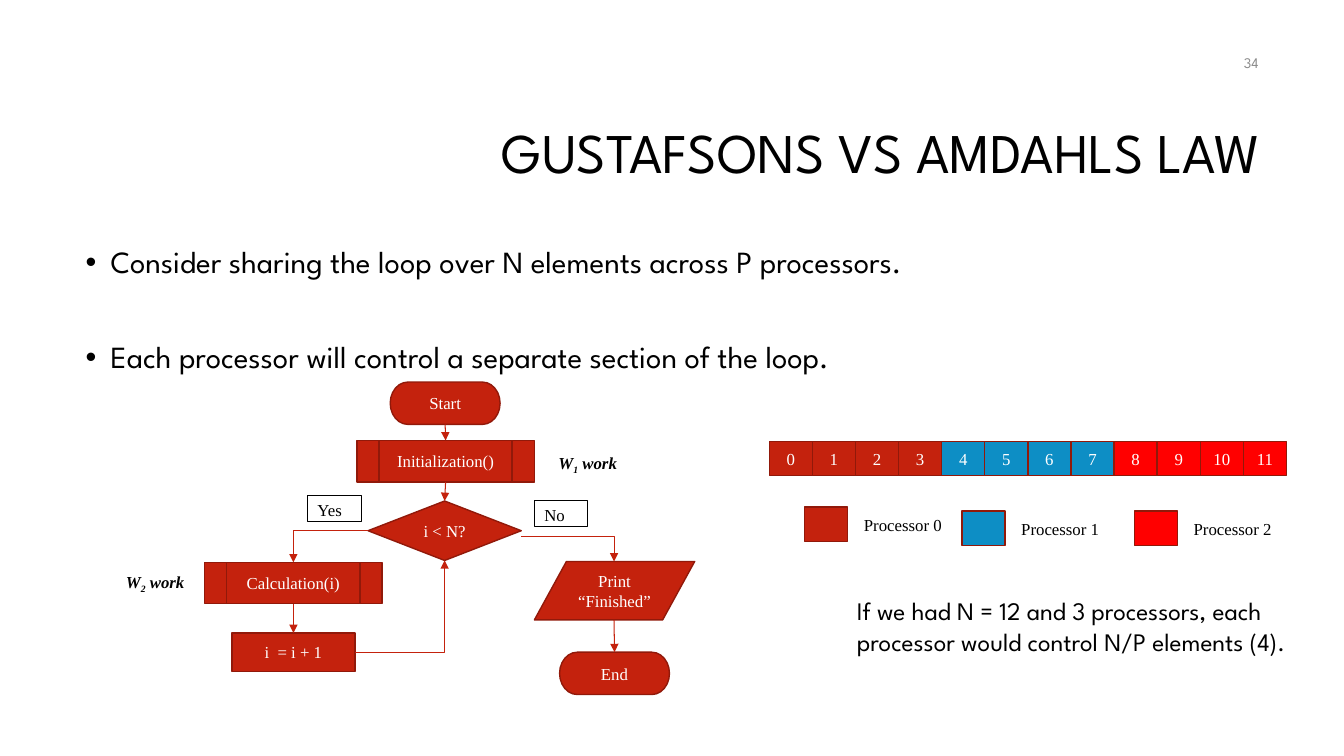
"""Build a slide on sharing a loop across processors."""
import pptx
import pptx.util
import pptx.dml.color
import pptx.enum.shapes
import pptx.enum.text
import pptx.oxml.ns
from lxml import etree

Inches = pptx.util.Inches
Pt = pptx.util.Pt
Kind = pptx.enum.shapes.MSO_SHAPE
Link = pptx.enum.shapes.MSO_CONNECTOR
Align = pptx.enum.text.PP_ALIGN
Anchor = pptx.enum.text.MSO_ANCHOR
qn = pptx.oxml.ns.qn

SANS = "League Spartan"
SERIF = "Times New Roman"
COLORS = {
    "red": "C4220D", "edge": "91190A", "blue": "0D8EC5", "bright": "FF0000",
    "white": "FFFFFF", "black": "000000", "gray": "8C8C8C",
}
TOP, LEFT, BOTTOM, RIGHT = range(4)


def color(name):
    return pptx.dml.color.RGBColor.from_string(COLORS[name])


def add_span(para, text, size, font, ink="black"):
    span = para.add_run()
    span.text = text
    span.font.size = Pt(size)
    span.font.name = font
    span.font.color.rgb = color(ink)
    return span


def add_text(page, place, text, size, font=SANS, ink="black",
             align=Align.LEFT, anchor=Anchor.TOP):
    box = page.shapes.add_textbox(*map(Inches, place))
    box.text_frame.word_wrap = True
    box.text_frame.vertical_anchor = anchor
    para = box.text_frame.paragraphs[0]
    para.alignment = align
    add_span(para, text, size, font, ink)
    return box


def add_bullets(page, place, lines):
    box = page.shapes.add_textbox(*map(Inches, place))
    frame = box.text_frame
    frame.word_wrap = True
    for index, (text, gap) in enumerate(lines):
        para = frame.add_paragraph() if index else frame.paragraphs[0]
        para.line_spacing = 0.9
        para.space_before = Pt(gap)
        add_span(para, text, 22, SANS)
        props = para._p.get_or_add_pPr()
        props.set("marL", str(Inches(0.25)))
        props.set("indent", str(Inches(-0.25)))
        etree.SubElement(props, qn("a:buFont")).set("typeface", "Arial")
        etree.SubElement(props, qn("a:buChar")).set("char", "•")


def add_block(page, kind, place, text="", fill="red"):
    block = page.shapes.add_shape(kind, *map(Inches, place))
    block.shadow.inherit = False
    block.fill.solid()
    block.fill.fore_color.rgb = color(fill)
    block.line.color.rgb = color("edge")
    block.line.width = Pt(1)
    if text:
        block.text_frame.word_wrap = True
        block.text_frame.vertical_anchor = Anchor.MIDDLE
        para = block.text_frame.paragraphs[0]
        para.alignment = Align.CENTER
        add_span(para, text, 12, SERIF, "white")
    return block


def add_branch_label(page, place, text):
    box = add_text(page, place, text, 12, SERIF)
    box.fill.solid()
    box.fill.fore_color.rgb = color("white")
    box.line.color.rgb = color("black")
    box.line.width = Pt(0.5)


def add_work_label(page, place, number):
    box = add_text(page, place, "W", 12, SERIF)
    para = box.text_frame.paragraphs[0]
    subscript = add_span(para, number, 12, SERIF)
    subscript.font._element.set("baseline", "-25000")
    add_span(para, " work", 12, SERIF)
    for span in para.runs:
        span.font.bold = True
        span.font.italic = True


def add_arrow(page, start, end, source=None, target=None, bent=False):
    kind = Link.ELBOW if bent else Link.STRAIGHT
    arrow = page.shapes.add_connector(kind, *map(Inches, start + end))
    if source:
        arrow.begin_connect(*source)
    if target:
        arrow.end_connect(*target)
    arrow.line.color.rgb = color("red")
    arrow.line.width = Pt(0.75)
    props = arrow._element.spPr
    if bent:
        props.find(qn("a:prstGeom")).set("prst", "bentConnector2")
    etree.SubElement(arrow.line._get_or_add_ln(), qn("a:tailEnd")).set("type", "triangle")
    etree.SubElement(props, qn("a:effectLst"))


def add_flowchart(page):
    start = add_block(page, Kind.FLOWCHART_TERMINATOR, (3.87, 3.79, 1.09, 0.42), "Start")
    setup = add_block(page, Kind.FLOWCHART_PREDEFINED_PROCESS,
                      (3.54, 4.37, 1.76, 0.41), "Initialization()")
    test = add_block(page, Kind.FLOWCHART_DECISION, (3.65, 4.97, 1.52, 0.59), "i < N?")
    work = add_block(page, Kind.FLOWCHART_PREDEFINED_PROCESS,
                     (2.03, 5.58, 1.76, 0.41), "Calculation(i)")
    step = add_block(page, Kind.FLOWCHART_PROCESS, (2.3, 6.28, 1.22, 0.38), "i  = i + 1")
    add_block(page, Kind.FLOWCHART_DATA, (5.3, 5.57, 1.59, 0.58), "Print “Finished”")
    end = add_block(page, Kind.FLOWCHART_TERMINATOR, (5.55, 6.47, 1.09, 0.42), "End")

    add_arrow(page, (4.42, 4.21), (4.42, 4.37), (start, BOTTOM), (setup, TOP))
    add_arrow(page, (4.42, 4.78), (4.41, 4.97), (setup, BOTTOM), (test, TOP))
    add_arrow(page, (2.91, 5.98), (2.91, 6.28), (work, BOTTOM), (step, TOP))
    add_arrow(page, (6.09, 6.15), (6.09, 6.47), None, (end, TOP))
    add_arrow(page, (3.65, 5.27), (2.91, 5.58), (test, LEFT), (work, TOP), bent=True)
    add_arrow(page, (3.52, 6.47), (4.41, 5.57), (step, RIGHT), (test, BOTTOM), bent=True)
    add_arrow(page, (5.17, 5.32), (6.09, 5.57), bent=True)

    add_branch_label(page, (3.05, 4.91, 0.53, 0.26), "Yes")
    add_branch_label(page, (5.3, 4.96, 0.53, 0.26), "No")
    add_work_label(page, (5.44, 4.44, 0.92, 0.33), "1")
    add_work_label(page, (1.15, 5.62, 0.88, 0.36), "2")


def add_processors(page):
    fills = ("red", "blue", "bright")
    count = 12
    width = 5.13 / count
    for index in range(count):
        fill = fills[index * len(fills) // count]
        add_block(page, Kind.RECTANGLE, (7.63 + index * width, 4.38, width, 0.34),
                  str(index), fill)
    corners = ((7.98, 5.03), (9.54, 5.07), (11.25, 5.07))
    for number, (fill, (left, top)) in enumerate(zip(fills, corners)):
        add_block(page, Kind.RECTANGLE, (left, top, width, 0.34), fill=fill)
        add_text(page, (left + 0.49, top + 0.03, 1.02, 0.28),
                 f"Processor {number}", 12, SERIF)


def main():
    deck = pptx.Presentation()
    deck.slide_width = Inches(13.33)
    deck.slide_height = Inches(7.5)
    page = deck.slides.add_slide(deck.slide_layouts[6])
    title = add_text(page, (3.17, 0.84, 9.42, 1.41), "GUSTAFSONS VS AMDAHLS LAW", 40,
                     align=Align.RIGHT, anchor=Anchor.MIDDLE)
    title.text_frame.paragraphs[0].line_spacing = 0.9
    add_bullets(page, (0.75, 2.4, 11.83, 4.4), (
        ("Consider sharing the loop over N elements across P processors.", 10),
        ("Each processor will control a separate section of the loop.", 44),
    ))
    add_flowchart(page)
    add_processors(page)
    add_text(page, (8.4, 5.86, 4.52, 1.01),
             "If we had N = 12 and 3 processors, each processor would control "
             "N/P elements (4).", 18)
    add_text(page, (9.58, 0.42, 3, 0.4), "34", 10.5, ink="gray",
             align=Align.RIGHT, anchor=Anchor.MIDDLE)
    deck.save("out.pptx")


if __name__ == "__main__":
    main()
